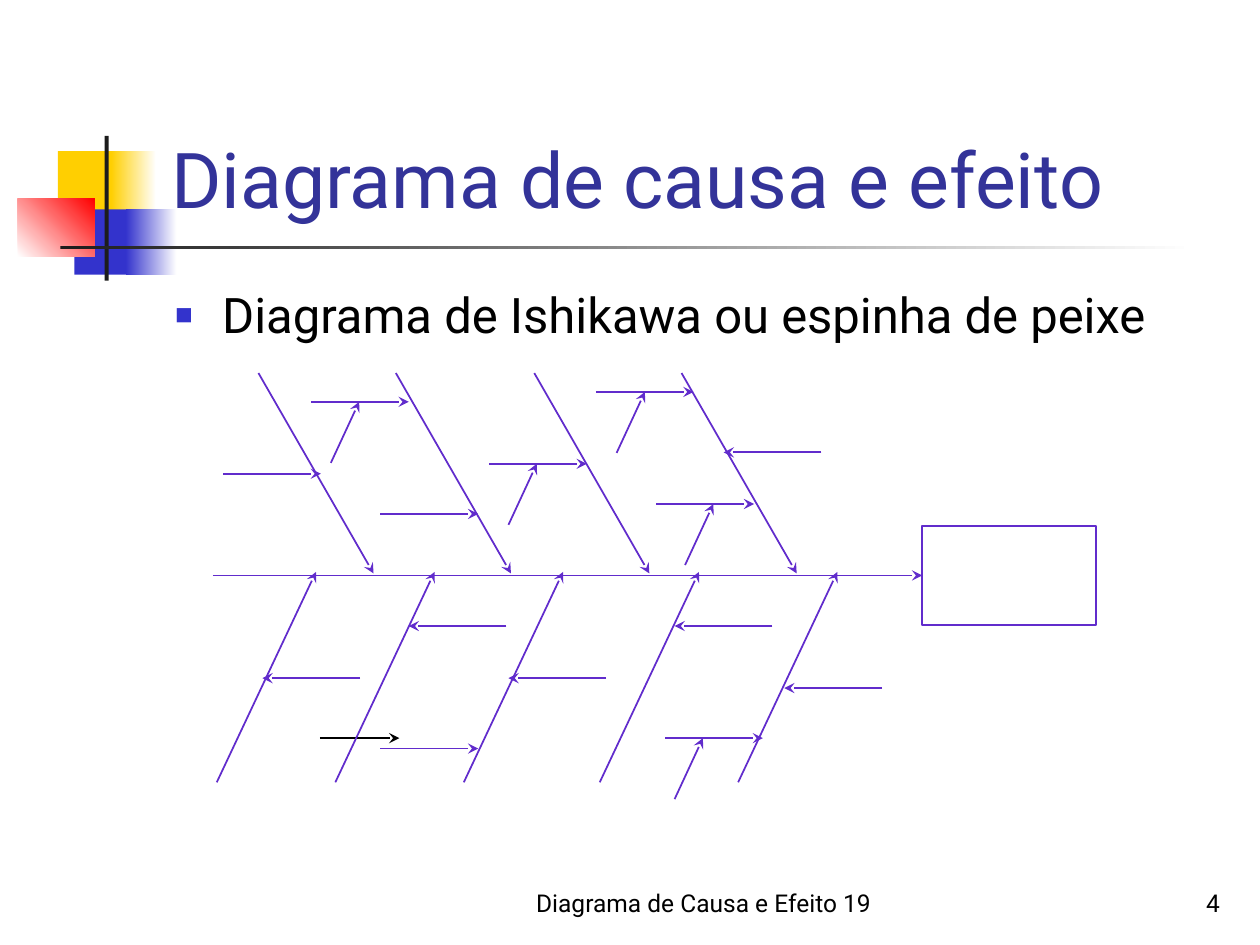
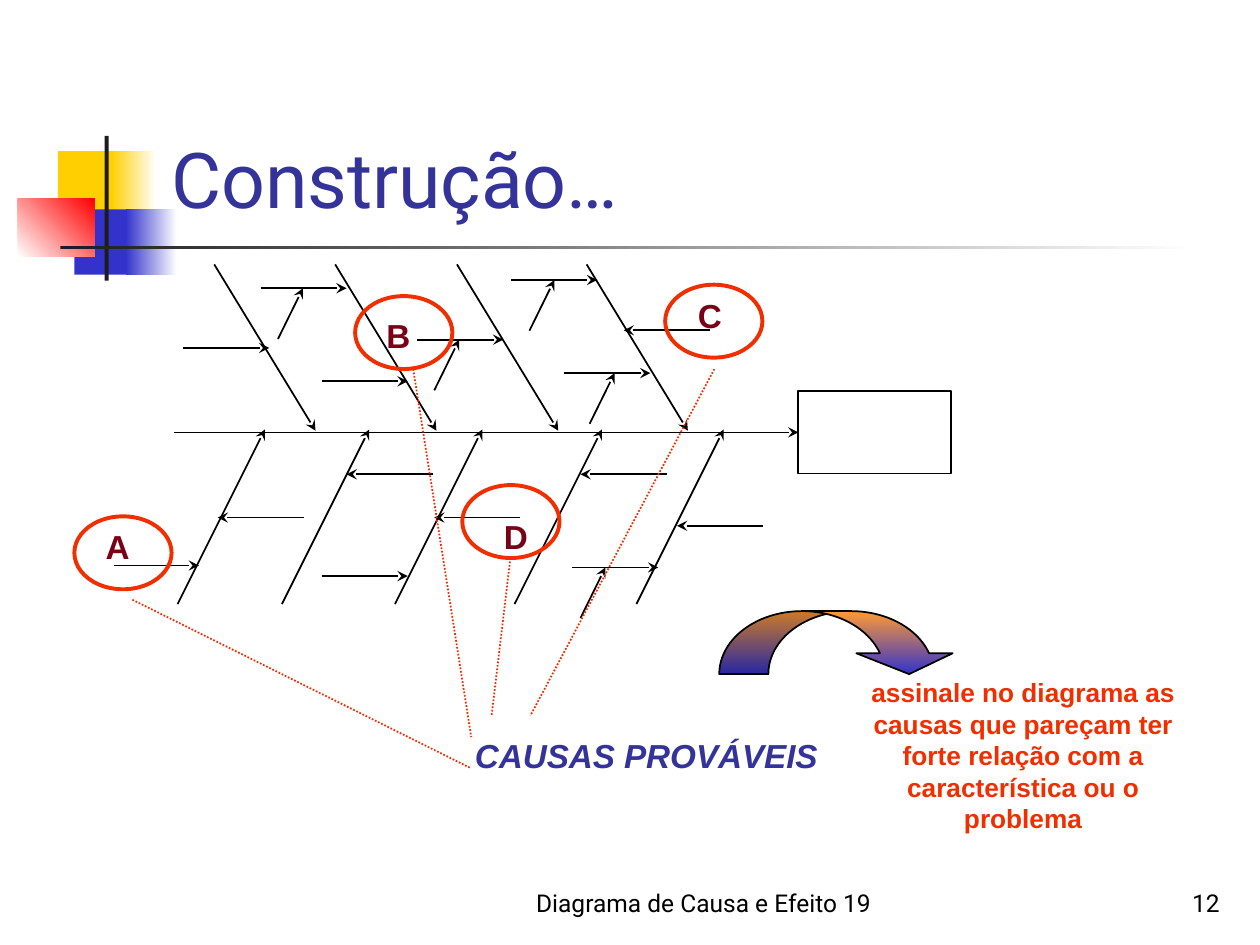
import dataclasses

import lxml.etree
import pptx
import pptx.dml.color
import pptx.enum.dml
import pptx.enum.shapes
import pptx.enum.text
import pptx.oxml.ns
import pptx.util

Cm = pptx.util.Cm
Pt = pptx.util.Pt
SHAPE = pptx.enum.shapes.MSO_SHAPE
ALIGN = pptx.enum.text.PP_ALIGN
ANCHOR = pptx.enum.text.MSO_ANCHOR


@dataclasses.dataclass(frozen=True)
class Theme:
    ink: str = "000000"
    paper: str = "FFFFFF"
    title: str = "333399"
    blue: str = "3333CC"
    gold: str = "FFCF01"
    red: str = "FF0000"
    bar: str = "1C1C1C"
    bone: str = "612CCC"
    mark: str = "F02E00"
    wine: str = "790015"
    orange: str = "FF9933"
    sans: str = "Roboto"
    bold: str = "Arial"
    head: int = 44
    body: int = 28
    label: int = 19
    note: int = 15
    foot: int = 14
    thin: float = 1
    thick: float = 2.25


def rgb(code):
    return pptx.dml.color.RGBColor.from_string(code)


def add(node, tag, **attrs):
    child = lxml.etree.SubElement(node, pptx.oxml.ns.qn(tag))
    for key, value in attrs.items():
        child.set(key, value)
    return child


class Deck:
    def __init__(self, theme):
        self.theme = theme
        self.show = pptx.Presentation()
        self.show.slide_width = Cm(25.4)
        self.show.slide_height = Cm(19.05)
        self.slide = None

    def page(self, title, number):
        t = self.theme
        self.slide = self.show.slides.add_slide(self.show.slide_layouts[6])
        self.shape((1.17, 3.05, 1.22, 1.32), fill=t.gold)
        self.shape((2.24, 3.05, 0.91, 1.32), fill=(t.gold, t.paper, 0))
        self.shape((1.5, 4.22, 1.17, 1.32), fill=t.blue)
        self.shape((2.54, 4.22, 1.02, 1.32), fill=(t.blue, t.paper, 0))
        self.shape((0.36, 4.01, 1.55, 1.17), fill=(t.paper, t.red, 45))
        self.shape((2.11, 2.74, 0.08, 2.92), fill=t.bar)
        self.shape((1.22, 4.95, 22.86, 0.08), fill=(t.bar, t.paper, 0))
        self.text((3.2, 0.58, 21.64, 4.06), title, t.head, t.title, align=ALIGN.LEFT)
        self.text((10.16, 17.35, 8.05, 1.27), "Diagrama de Causa e Efeito 19", t.foot, t.ink)
        self.text((19.56, 17.35, 5.28, 1.27), str(number), t.foot, t.ink, align=ALIGN.RIGHT)

    def shape(self, box, kind=SHAPE.RECTANGLE, fill=None, line=None, width=None):
        item = self.slide.shapes.add_shape(kind, *map(Cm, box))
        item.shadow.inherit = False
        if fill is None:
            item.fill.background()
        elif isinstance(fill, str):
            item.fill.solid()
            item.fill.fore_color.rgb = rgb(fill)
        else:
            item.fill.gradient()
            item.fill.gradient_angle = fill[2]
            for stop, code in zip(item.fill.gradient_stops, fill):
                stop.color.rgb = rgb(code)
        if line:
            item.line.color.rgb = rgb(line)
            item.line.width = Pt(width or self.theme.thin)
        else:
            item.line.fill.background()
        return item

    def text(self, box, words, size, color, face=None, align=ALIGN.CENTER,
             anchor=ANCHOR.BOTTOM, bold=False, italic=False, wrap=True):
        frame = self.slide.shapes.add_textbox(*map(Cm, box)).text_frame
        frame.word_wrap = wrap
        frame.vertical_anchor = anchor
        para = frame.paragraphs[0]
        para.text = words
        para.alignment = align
        font = para.font
        font.name = face or self.theme.sans
        font.size = Pt(size)
        font.bold = bold
        font.italic = italic
        font.color.rgb = rgb(color)
        return para

    def bullet(self, box, words):
        t = self.theme
        para = self.text(box, words, t.body, t.ink, align=ALIGN.LEFT, anchor=ANCHOR.TOP)
        para.space_before = Pt(7)
        props = para._p.get_or_add_pPr()
        props.set("marL", str(Cm(0.95)))
        props.set("indent", str(-Cm(0.95)))
        marks = [
            add(add(props, "a:buClr"), "a:srgbClr", val=t.blue).getparent(),
            add(props, "a:buSzPct", val="60000"),
            add(props, "a:buFont", typeface=t.bold),
            add(props, "a:buChar", char="■"),
        ]
        rest = props.find(pptx.oxml.ns.qn("a:defRPr"))
        if rest is not None:
            for mark in marks:
                rest.addprevious(mark)

    def line(self, start, end, color, arrow=True, dots=False):
        item = self.slide.shapes.add_connector(
            pptx.enum.shapes.MSO_CONNECTOR.STRAIGHT, *map(Cm, (*start, *end)))
        item.line.color.rgb = rgb(color)
        item.line.width = Pt(self.theme.thin)
        if dots:
            item.line.dash_style = pptx.enum.dml.MSO_LINE.ROUND_DOT
        if arrow:
            add(item.line._get_or_add_ln(), "a:tailEnd", type="stealth")
        add(item._element.spPr, "a:effectLst")
        return item

    def fish(self, color, left=4.29, top=7.52, wide=1, high=1):
        def spot(x, y):
            return left + (x - 4.29) * wide, top + (y - 7.52) * high

        def bone(x, y, dx, dy):
            return self.line(spot(x, y), spot(x + dx, y + dy), color)

        head = self.shape((*spot(18.59, 10.6), 3.5 * wide, 2 * high), line=color)
        bone(4.29, 11.6, 14.3, 0).end_connect(head, 1)
        for x in UPPER:
            bone(x, 7.52, 2.32, 4.04)
        for x in LOWER:
            bone(x, 15.77, 2, -4.24)
        for x, y in RIGHT:
            bone(x, y, 1.97, 0)
        for x, y in LEFT:
            bone(x, y, -1.97, 0)
        for x, y in TWIGS:
            bone(x, y, 0.57, -1.23)


UPPER = (5.21, 7.98, 10.77, 13.74)
LOWER = (4.37, 6.76, 9.35, 12.09, 14.88)
RIGHT = ((4.5, 9.55), (6.27, 8.1), (7.67, 10.36), (13.41, 14.88),
         (7.67, 15.09), (9.86, 9.35), (12.01, 7.9), (13.23, 10.16))
LEFT = ((16.56, 9.12), (15.57, 12.62), (17.78, 13.87),
        (12.22, 13.67), (10.21, 12.62), (7.26, 13.67))
TWIGS = ((6.67, 9.33), (13.6, 16.11), (10.25, 10.58), (12.43, 9.13), (13.81, 11.39))

CAUSES = (
    ("A", (1.5, 10.41), (1.88, 10.41)),
    ("B", (7.16, 5.97), (7.54, 6.17)),
    ("C", (13.41, 5.74), (13.82, 5.77)),
    ("D", (9.32, 9.78), (9.91, 10.21)),
)
LINKS = (
    ((2.67, 12.09), (9.5, 15.49)),
    ((8.33, 7.44), (9.5, 14.86)),
    ((10.29, 11.25), (9.91, 14.43)),
    ((14.4, 7.44), (10.69, 14.43)),
)


def model(deck):
    t = deck.theme
    deck.page("Diagrama de causa e efeito", 4)
    deck.bullet((3.28, 5.61, 21.59, 11.43), "Diagrama de Ishikawa ou espinha de peixe")
    deck.line((6.45, 14.88), (8.05, 14.88), t.ink)
    deck.fish(t.bone)


def build(deck):
    t = deck.theme
    deck.page("Construção…", 12)
    deck.fish(t.ink, 3.51, 5.33, 0.88, 0.83)
    deck.line((2.29, 11.4), (4.01, 11.4), t.ink)
    for name, ring, spot in CAUSES:
        deck.shape((*ring, 1.96, 1.47), SHAPE.OVAL, line=t.mark, width=t.thick)
        deck.text((*spot, 0.97, 1.12), name, t.label, t.wine, t.bold, bold=True, wrap=False)
    for start, end in LINKS:
        deck.line(start, end, t.mark, arrow=False, dots=True)
    deck.text((9.32, 14.63, 7.42, 1.12), "CAUSAS PROVÁVEIS", t.label, t.title, t.bold,
              bold=True, italic=True, wrap=False)
    deck.text((16.89, 13.51, 7.47, 3.43),
              "assinale no diagrama as causas que pareçam ter forte relação"
              " com a característica ou o problema",
              t.note, t.mark, t.bold, anchor=ANCHOR.TOP, bold=True)
    curve = deck.shape((14.5, 12.32, 4.8, 1.27), SHAPE.CURVED_DOWN_ARROW,
                       fill=(t.orange, t.blue, 270), line=t.ink)
    for spot, value in enumerate((0.78, 1.53, 0.33)):
        curve.adjustments[spot] = value


def main():
    deck = Deck(Theme())
    model(deck)
    build(deck)
    deck.show.save("out.pptx")


if __name__ == "__main__":
    main()
